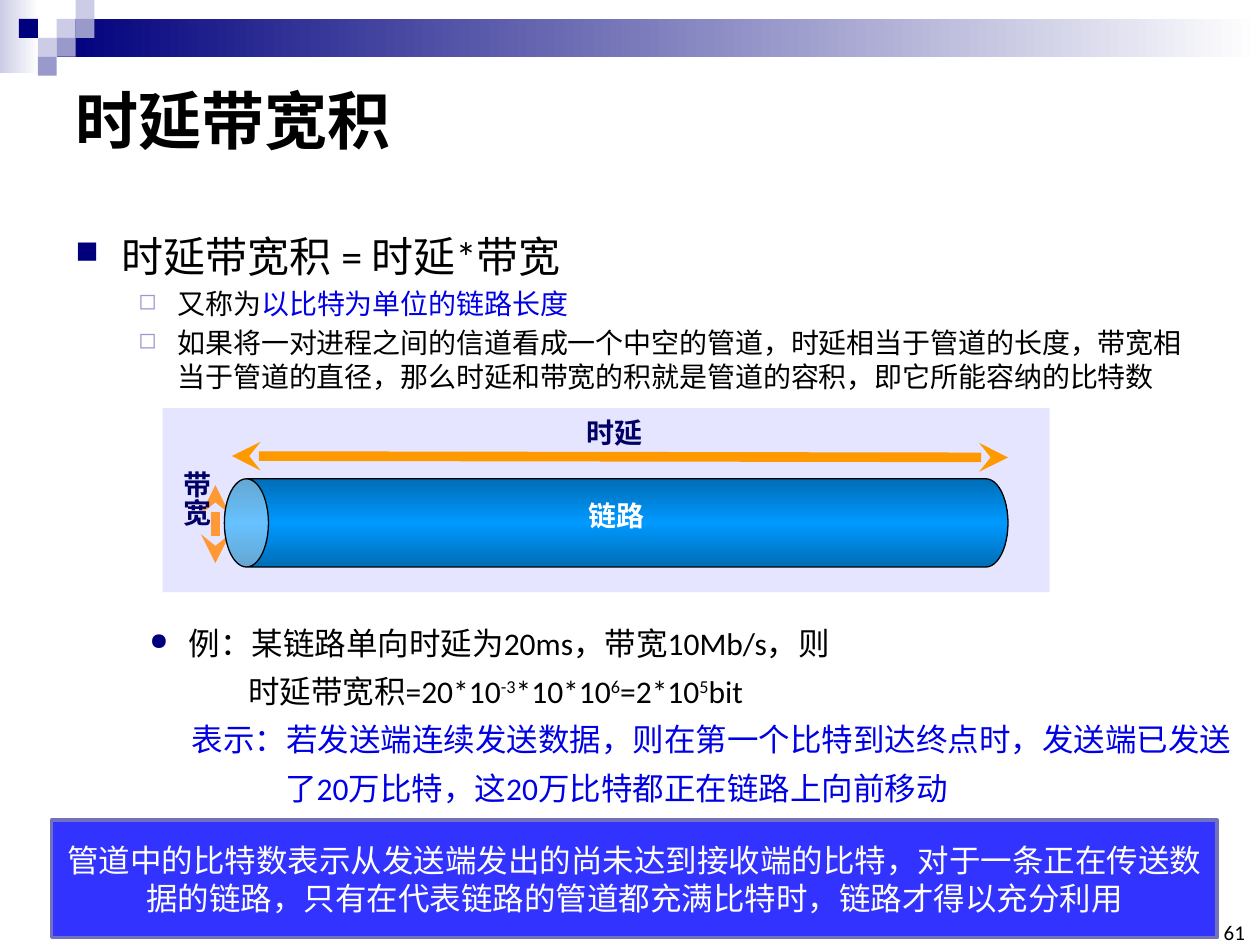
"""Build the slide on the delay-bandwidth product of a link."""
from dataclasses import dataclass
from typing import NamedTuple

from lxml import etree
from pptx import Presentation
from pptx.dml.color import RGBColor
from pptx.enum.shapes import MSO_CONNECTOR, MSO_SHAPE
from pptx.enum.text import MSO_ANCHOR, PP_ALIGN
from pptx.oxml.ns import qn
from pptx.util import Pt

RECTANGLE, CAN = MSO_SHAPE.RECTANGLE, MSO_SHAPE.CAN
STRAIGHT = MSO_CONNECTOR.STRAIGHT
TOP, MIDDLE, BOTTOM = MSO_ANCHOR.TOP, MSO_ANCHOR.MIDDLE, MSO_ANCHOR.BOTTOM
LEFT, CENTER, RIGHT = PP_ALIGN.LEFT, PP_ALIGN.CENTER, PP_ALIGN.RIGHT

SANS, LATIN, LABEL = "Noto Sans CJK SC", "Calibri", "Roboto"
BLACK, WHITE, NAVY, BLUE, INK = "000000", "FFFFFF", "00007D", "0000E4", "000066"
PALE, LILAC = "CCCCE6", "9999CC"
SQUARE = 10.8


class Box(NamedTuple):
    left: float
    top: float
    width: float
    height: float


class Piece(NamedTuple):
    text: str
    color: str = ""
    raised: bool = False


class Bullet(NamedTuple):
    character: str
    color: str
    percent: int


class Arrow(NamedTuple):
    start: tuple[float, float]
    end: tuple[float, float]
    color: str


@dataclass
class Line:
    pieces: list[Piece]
    size: float
    font: str = LATIN
    color: str = BLACK
    bold: bool = False
    align: PP_ALIGN = LEFT
    margin: float = 0
    hanging: float = 0
    before: float = 0
    spacing: float = 1
    bullet: Bullet | None = None


SQUARES = [(3, 1, PALE), (4, 0, PALE), (4, 1, LILAC), (2, 2, PALE),
           (1, 1, NAVY), (3, 2, LILAC), (2, 3, LILAC)]
ARROWS = [Arrow((132.5, 260.6), (576, 261.4), "FF9900"),
          Arrow((123.1, 277.2), (123.1, 321.8), "FF9933")]
FIRST = Bullet("■", NAVY, 75)
SECOND = Bullet("◻", LILAC, 80)
DOT = Bullet("●", NAVY, 75)

DEFINITION = [
    Line([Piece("时延带宽积 = 时延*带宽")], 24, margin=26.6, hanging=26.6,
         before=4.8, spacing=1.5, bullet=FIRST),
    Line([Piece("又称为"), Piece("以比特为单位的链路长度", BLUE)], 16,
         margin=58.3, hanging=22.3, before=3.2, bullet=SECOND),
    Line([Piece("如果将一对进程之间的信道看成一个中空的管道，时延相当于管道的长度，"
                "带宽相当于管道的直径，那么时延和带宽的积就是管道的容积，"
                "即它所能容纳的比特数")], 16,
         margin=58.3, hanging=22.3, before=3.2, bullet=SECOND),
]
EXAMPLE = [
    Line([Piece("例：某链路单向时延为20ms，带宽10Mb/s，则")], 18,
         margin=26.6, hanging=22.3, before=6, bullet=DOT),
    Line([Piece("时延带宽积=20*10"), Piece("-3", raised=True), Piece("*10*10"),
          Piece("6", raised=True), Piece("=2*10"), Piece("5", raised=True),
          Piece("bit")], 18, margin=60.5, before=6),
    Line([Piece("表示：若发送端连续发送数据，则在第一个比特到达终点时，发送端已发送")],
         18, color=BLUE, margin=28.2, before=6),
    Line([Piece("了20万比特，这20万比特都正在链路上向前移动")],
         18, color=BLUE, margin=81.7, before=6),
]
CONCLUSION = Line([Piece("管道中的比特数表示从发送端发出的尚未达到接收端的比特，"
                         "对于一条正在传送数据的链路，只有在代表链路的管道都充满比特时，"
                         "链路才得以充分利用")], 18, SANS, WHITE, align=CENTER)


def rgb(value: str) -> RGBColor:
    return RGBColor.from_string(value)


def points(box: Box) -> list[Pt]:
    return [Pt(length) for length in box]


def add_block(slide, box: Box, fill: str | list[tuple[int, str]],
              line: tuple[str, float] | None = None, kind: MSO_SHAPE = RECTANGLE):
    shape = slide.shapes.add_shape(kind, *points(box))
    shape.shadow.inherit = False
    if isinstance(fill, str):
        shape.fill.solid()
        shape.fill.fore_color.rgb = rgb(fill)
    else:
        shape.fill.gradient()
        shape.fill.gradient_angle = 0
        stops = shape._element.spPr.find(qn("a:gradFill")).find(qn("a:gsLst"))
        for stop in list(stops):
            stops.remove(stop)
        for position, color in fill:
            stop = etree.SubElement(stops, qn("a:gs"), pos=str(position * 1000))
            etree.SubElement(stop, qn("a:srgbClr"), val=color)
    if line:
        shape.line.color.rgb = rgb(line[0])
        shape.line.width = Pt(line[1])
    else:
        shape.line.fill.background()
    return shape


def add_bullet(properties, bullet: Bullet) -> None:
    color = properties.makeelement(qn("a:buClr"))
    etree.SubElement(color, qn("a:srgbClr"), val=bullet.color)
    size = properties.makeelement(qn("a:buSzPct"), val=str(bullet.percent * 1000))
    character = properties.makeelement(qn("a:buChar"), char=bullet.character)
    for element in (color, size, character):
        properties.insert_element_before(element, "a:tabLst", "a:defRPr", "a:extLst")


def write_lines(frame, lines: list[Line], anchor: MSO_ANCHOR) -> None:
    frame.word_wrap = True
    frame.vertical_anchor = anchor
    for index, line in enumerate(lines):
        paragraph = frame.add_paragraph() if index else frame.paragraphs[0]
        paragraph.alignment = line.align
        paragraph.space_before = Pt(line.before)
        paragraph.line_spacing = line.spacing
        paragraph.font.size = Pt(line.size)
        paragraph.font.name = line.font
        paragraph.font.bold = line.bold
        paragraph.font.color.rgb = rgb(line.color)
        properties = paragraph._p.get_or_add_pPr()
        properties.set("marL", str(Pt(line.margin)))
        properties.set("indent", str(-Pt(line.hanging)))
        if line.bullet:
            add_bullet(properties, line.bullet)
        for piece in line.pieces:
            run = paragraph.add_run()
            run.text = piece.text
            if piece.color:
                run.font.color.rgb = rgb(piece.color)
            if piece.raised:
                run.font._element.set("baseline", "30000")


def add_text(slide, box: Box, lines: list[Line], anchor: MSO_ANCHOR = TOP,
             inset: bool = True):
    frame = slide.shapes.add_textbox(*points(box)).text_frame
    if not inset:
        frame.margin_left = frame.margin_right = Pt(0)
        frame.margin_top = frame.margin_bottom = Pt(0)
    write_lines(frame, lines, anchor)
    return frame


def add_arrow(slide, arrow: Arrow) -> None:
    ends = [Pt(length) for length in (*arrow.start, *arrow.end)]
    connector = slide.shapes.add_connector(STRAIGHT, *ends)
    connector.line.color.rgb = rgb(arrow.color)
    connector.line.width = Pt(5.5)
    for tag in ("a:headEnd", "a:tailEnd"):
        etree.SubElement(connector.line._get_or_add_ln(), qn(tag), type="stealth")
    etree.SubElement(connector._element.spPr, qn("a:effectLst"))


def add_header(slide) -> None:
    add_block(slide, Box(0, 0, 22.3, 41.8), [(0, PALE), (100, WHITE)])
    add_block(slide, Box(32.4, 10.8, 687.6, 21.6), [(0, NAVY), (100, WHITE)])
    for column, row, color in SQUARES:
        add_block(slide, Box(column * SQUARE, row * SQUARE, SQUARE, SQUARE), color)


def add_pipe(slide) -> None:
    add_block(slide, Box(92.9, 233.3, 506.9, 105.1), "E5E5FF")
    for arrow in ARROWS:
        add_arrow(slide, arrow)
    add_text(slide, Box(305.3, 237.6, 91.4, 31),
             [Line([Piece("时延")], 16, SANS, INK, True, CENTER)], inset=False)
    width = add_text(slide, Box(93.6, 269.3, 28.1, 61.2),
                     [Line([Piece("带宽")], 16, SANS, INK, True)], inset=False)
    width._txBody.bodyPr.set("vert", "eaVert")
    pipe = add_block(slide, Box(326.9, 74.9, 50.4, 447.8),
                     [(0, "006DB6"), (50, "0099FF"), (100, "006DB6")],
                     (BLACK, 0.75), CAN)
    pipe.adjustments[0] = 0.5
    pipe.rotation = 270
    add_text(slide, Box(308.2, 281.5, 88.6, 27.4),
             [Line([Piece("链路")], 16, LABEL, WHITE, True, CENTER)])


def main() -> None:
    presentation = Presentation()
    presentation.slide_width, presentation.slide_height = Pt(720), Pt(540)
    slide = presentation.slides.add_slide(presentation.slide_layouts[6])
    add_header(slide)
    add_text(slide, Box(36, 36, 648, 64.1),
             [Line([Piece("时延带宽积")], 36, SANS, bold=True)], MIDDLE)
    add_text(slide, Box(36, 113.8, 658.8, 137.5), DEFINITION)
    add_text(slide, Box(694.8, 527.8, 16.6, 12.2),
             [Line([Piece("61")], 12, align=RIGHT)], BOTTOM, inset=False)
    add_pipe(slide)
    add_text(slide, Box(74.2, 352.8, 638.6, 133.2), EXAMPLE)
    banner = add_block(slide, Box(29.5, 468.7, 666, 67), "3333FF", ("7171BD", 2))
    write_lines(banner.text_frame, [CONCLUSION], MIDDLE)
    presentation.save("out.pptx")


if __name__ == "__main__":
    main()
